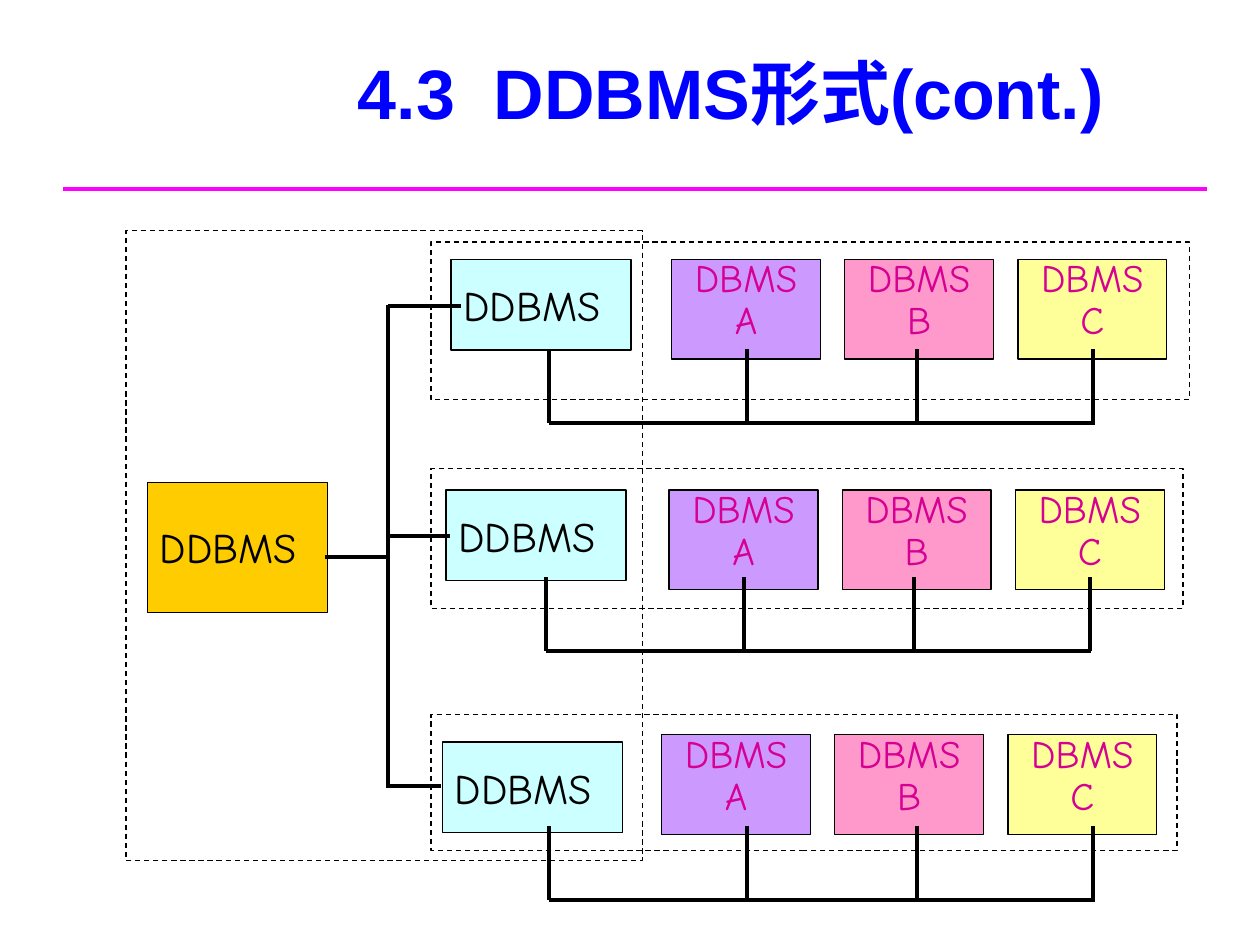
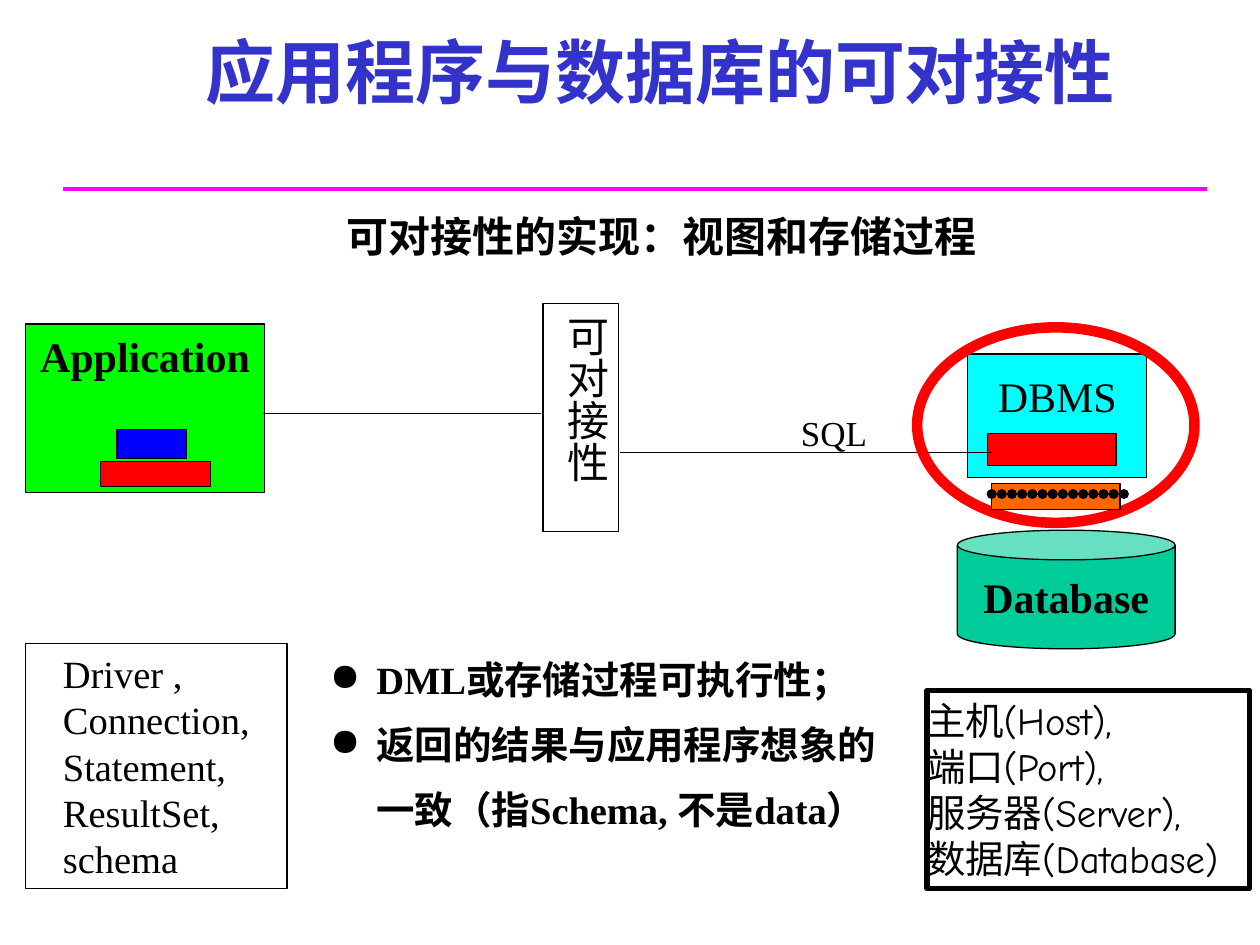
from dataclasses import dataclass, field
from typing import Optional

from lxml.etree import SubElement
from pptx import Presentation
from pptx.dml.color import RGBColor
from pptx.enum.dml import MSO_LINE_DASH_STYLE as Dash
from pptx.enum.shapes import MSO_CONNECTOR as Connector, MSO_SHAPE as Preset
from pptx.enum.text import MSO_ANCHOR as Anchor, MSO_AUTO_SIZE as AutoSize, PP_ALIGN as Align
from pptx.oxml.ns import qn
from pptx.util import Cm, Pt


@dataclass(frozen=True)
class Theme:
    black: str = "000000"
    rule: str = "FF00FF"
    title_blue: str = "0000FF"
    title_indigo: str = "3333CC"
    magenta: str = "D60093"
    amber: str = "FFCC00"
    pale_cyan: str = "CCFFFF"
    violet: str = "CC99FF"
    pink: str = "FF99CC"
    yellow: str = "FFFF99"
    cyan: str = "00FFFF"
    red: str = "FF0000"
    green: str = "00FF00"
    blue: str = "0000FF"
    orange: str = "FF6600"
    teal: str = "00CC99"
    sans: str = "Arial"
    chinese: str = "Noto Sans CJK SC"
    comic: str = "Comic Neue"
    serif: str = "Times New Roman"
    title_size: float = 40
    label_size: float = 24
    node_size: float = 22.2
    list_size: float = 22
    note_size: float = 20
    thin: float = 0.75
    rule_width: float = 2
    wire: float = 2.25
    frame: float = 3
    dots: float = 5.75
    ring: float = 6


THEME = Theme()


@dataclass(frozen=True)
class TextStyle:
    font: str
    size: float
    color: str = THEME.black
    bold: bool = False
    align: Align = Align.LEFT
    spacing: Optional[float] = None
    indent: float = 0
    hanging: float = 0
    bullet: str = ""


@dataclass(frozen=True)
class Box:
    """A shape or, without a preset, a text box; lengths in centimetres."""
    left: float
    top: float
    width: float
    height: float
    fill: Optional[str] = None
    preset: Optional[Preset] = Preset.RECTANGLE
    line: str = THEME.black
    weight: float = THEME.thin
    dash: Optional[Dash] = None
    lines: tuple[str, ...] = ()
    style: Optional[TextStyle] = None
    insets: tuple[float, float] = (0.25, 0.13)
    anchor: Anchor = Anchor.TOP
    wrap: bool = True
    vertical: bool = False


@dataclass(frozen=True)
class Wire:
    x1: float
    y1: float
    x2: float
    y2: float
    color: str = THEME.black
    weight: float = THEME.wire
    dotted: bool = False


@dataclass(frozen=True)
class Site:
    """One row of the federation: frame, local DDBMS, three DBMS, bus."""
    frame_top: float
    frame_width: float
    frame_height: float
    ddbms_left: float
    ddbms_top: float
    dbms_left: float
    dbms_top: float
    bus_left: float
    bus_y: float
    branch_y: float
    branch_end: float


def rgb(color: str) -> RGBColor:
    return RGBColor.from_string(color)


def write_paragraph(paragraph, text: str, style: TextStyle) -> None:
    properties = paragraph._p.get_or_add_pPr()
    properties.set("marL", str(Cm(style.indent)))
    properties.set("indent", str(Cm(-style.hanging)))
    if style.bullet:
        color = SubElement(properties, qn("a:buClr"))
        SubElement(color, qn("a:srgbClr"), val=style.color)
        SubElement(properties, qn("a:buChar"), char=style.bullet)
    paragraph.alignment = style.align
    if style.spacing:
        paragraph.line_spacing = style.spacing
    run = paragraph.add_run()
    run.text = text
    run.font.size = Pt(style.size)
    run.font.bold = style.bold
    run.font.color.rgb = rgb(style.color)
    run.font.name = style.font
    SubElement(run._r.get_or_add_rPr(), qn("a:ea"), typeface=THEME.chinese)


def write_text(shape, lines: tuple[str, ...], style: TextStyle, insets: tuple[float, float],
               anchor: Anchor, wrap: bool = True) -> None:
    frame = shape.text_frame
    frame.auto_size = AutoSize.NONE
    frame.word_wrap = wrap
    frame.vertical_anchor = anchor
    frame.margin_left = frame.margin_right = Cm(insets[0])
    frame.margin_top = frame.margin_bottom = Cm(insets[1])
    for index, text in enumerate(lines):
        paragraph = frame.add_paragraph() if index else frame.paragraphs[0]
        write_paragraph(paragraph, text, style)


def draw_box(slide, box: Box) -> None:
    place = [Cm(value) for value in (box.left, box.top, box.width, box.height)]
    if box.preset is None:
        shape = slide.shapes.add_textbox(*place)
    else:
        shape = slide.shapes.add_shape(box.preset, *place)
        shape.shadow.inherit = False
        if box.fill:
            shape.fill.solid()
            shape.fill.fore_color.rgb = rgb(box.fill)
        else:
            shape.fill.background()
        shape.line.color.rgb = rgb(box.line)
        shape.line.width = Pt(box.weight)
        if box.dash:
            shape.line.dash_style = box.dash
    if box.lines:
        write_text(shape, box.lines, box.style, box.insets, box.anchor, box.wrap)
    if box.vertical:
        shape.text_frame._txBody.bodyPr.set("vert", "eaVert")


def draw_wire(slide, wire: Wire) -> None:
    connector = slide.shapes.add_connector(
        Connector.STRAIGHT, Cm(wire.x1), Cm(wire.y1), Cm(wire.x2), Cm(wire.y2))
    connector.line.color.rgb = rgb(wire.color)
    connector.line.width = Pt(wire.weight)
    if wire.dotted:
        outline = connector.line._get_or_add_ln()
        outline.set("cap", "rnd")
        pattern = SubElement(outline, qn("a:custDash"))
        SubElement(pattern, qn("a:ds"), d="1000", sp="100000")
    SubElement(connector._element.spPr, qn("a:effectLst"))


def draw_all(slide, parts: list) -> None:
    for part in parts:
        if isinstance(part, Wire):
            draw_wire(slide, part)
        else:
            draw_box(slide, part)


def start_slide(presentation, title: str, place: tuple[float, ...], font: str, color: str):
    """Add a slide with its title and the rule below it."""
    slide = presentation.slides.add_slide(presentation.slide_layouts[5])
    shape = slide.shapes.title
    shape.left, shape.top, shape.width, shape.height = [Cm(value) for value in place]
    style = TextStyle(font, THEME.title_size, color, True, Align.CENTER)
    write_text(shape, (title,), style, (0.25, 0.13), Anchor.MIDDLE)
    draw_wire(slide, Wire(1.27, 3.81, 24.33, 3.81, THEME.rule, THEME.rule_width))
    return slide


# Federation slide
DDBMS_STYLE = TextStyle(THEME.comic, THEME.label_size)
DBMS_STYLE = TextStyle(THEME.comic, THEME.node_size, THEME.magenta, align=Align.CENTER, spacing=0.9)
DBMS_NODES = (("A", THEME.violet), ("B", THEME.pink), ("C", THEME.yellow))
DBMS_STEP = 3.49
BUS_LENGTH, DROP_HEIGHT = 11, 1.49
DROP_OFFSETS = (0, 3.99, 7.42, 10.97)
TRUNK_X = 7.82
SITES = (
    Site(4.88, 15.29, 3.18, 9.09, 5.23, 13.54, 5.23, 11.07, 8.53, 6.17, 9.3),
    Site(9.45, 15.16, 2.82, 8.99, 9.88, 13.49, 9.88, 11, 13.13, 10.8, 9.07),
    Site(14.4, 15.04, 2.74, 8.92, 14.96, 13.34, 14.81, 11.07, 18.14, 15.85, 8.89),
)


def site_boxes(site: Site) -> list[Box]:
    boxes = [
        Box(8.69, site.frame_top, site.frame_width, site.frame_height, dash=Dash.DASH),
        Box(site.ddbms_left, site.ddbms_top, 3.63, 1.83, THEME.pale_cyan,
            lines=("DDBMS",), style=DDBMS_STYLE, insets=(0.25, 0.41)),
    ]
    for index, (name, color) in enumerate(DBMS_NODES):
        boxes.append(Box(site.dbms_left + index * DBMS_STEP, site.dbms_top, 3, 2.01, color,
                         lines=("DBMS", name), style=DBMS_STYLE, insets=(0, 0)))
    return boxes


def site_wires(site: Site) -> list[Wire]:
    bus = Wire(site.bus_left, site.bus_y, site.bus_left + BUS_LENGTH, site.bus_y)
    drops = [Wire(site.bus_left + offset, site.bus_y - DROP_HEIGHT, site.bus_left + offset, site.bus_y)
             for offset in DROP_OFFSETS]
    branch = Wire(TRUNK_X, site.branch_y, site.branch_end, site.branch_y)
    return [bus, *drops, branch]


def build_federation(presentation) -> None:
    slide = start_slide(presentation, "4.3  DDBMS形式(cont.)", (6.93, 0.58, 15.6, 2.54),
                        THEME.sans, THEME.title_blue)
    for site in SITES:
        draw_all(slide, site_boxes(site))
    draw_all(slide, [
        Box(2.97, 9.73, 3.63, 2.62, THEME.amber, lines=("DDBMS",), style=DDBMS_STYLE,
            insets=(0.25, 0.79)),
        Box(2.54, 4.65, 10.41, 12.7, dash=Dash.DASH),
    ])
    for site in SITES:
        draw_all(slide, site_wires(site))
    draw_all(slide, [Wire(TRUNK_X, 6.15, TRUNK_X, 15.88), Wire(6.55, 11.23, TRUNK_X, 11.23)])


# Connectivity slide
def build_connectivity(presentation) -> None:
    slide = start_slide(presentation, "应用程序与数据库的可对接性", (1.7, 0, 23.22, 2.84),
                        THEME.chinese, THEME.title_indigo)
    label = TextStyle(THEME.serif, THEME.label_size, align=Align.CENTER)
    strong = TextStyle(THEME.serif, THEME.label_size, bold=True, align=Align.CENTER)
    note = TextStyle(THEME.serif, THEME.note_size, align=Align.CENTER, spacing=1.3)
    host = TextStyle(THEME.comic, THEME.list_size)
    driver = TextStyle(THEME.serif, THEME.list_size, indent=0.51)
    points = TextStyle(THEME.serif, THEME.list_size, bold=True, spacing=1.4,
                       indent=1.65, hanging=0.94, bullet="●")
    draw_all(slide, [
        # Database server and application
        Box(19.51, 7.14, 3.61, 2.49, THEME.cyan, lines=("DBMS",), style=label, insets=(0.25, 0.33)),
        Box(19.91, 8.74, 2.59, 0.64, THEME.red),
        Box(0.51, 6.53, 4.83, 3.4, THEME.green, lines=("Application",), style=strong),
        Box(2.03, 9.3, 2.21, 0.51, THEME.red),
        Box(2.36, 8.66, 1.4, 0.58, THEME.blue),
        # SQL link and highlighted interface
        Wire(12.5, 9.12, 19.99, 9.12, weight=THEME.thin),
        Box(15.9, 7.92, 1.83, 1.37, preset=None, lines=("SQL",), style=note, wrap=False),
        Box(18.49, 6.6, 5.59, 3.94, preset=Preset.OVAL, line=THEME.red, weight=THEME.ring),
        Box(19.99, 9.75, 2.59, 0.53, THEME.orange),
        Wire(19.99, 9.96, 22.73, 9.96, weight=THEME.dots, dotted=True),
        # Host list, database and driver list
        Box(18.69, 13.92, 6.5, 3.99, weight=THEME.frame, style=host, insets=(0, 0.13),
            lines=("主机(Host),", "端口(Port),", "服务器(Server),", "数据库(Database)")),
        Box(19.3, 10.69, 4.39, 2.39, THEME.teal, Preset.CAN, lines=("Database",), style=strong,
            anchor=Anchor.MIDDLE, wrap=False),
        Box(0.51, 12.98, 5.28, 4.93, style=driver,
            lines=("Driver ,", "Connection,", "Statement,", "ResultSet,", "schema")),
        # Connectivity layer and its requirements
        Box(10.95, 6.12, 1.52, 4.6, lines=("可对接性",), style=label, insets=(0.13, 0.25),
            vertical=True),
        Box(5.69, 12.73, 12.8, 5.46, preset=None, style=points,
            lines=("DML或存储过程可执行性；",
                   "返回的结果与应用程序想象的一致（指Schema, 不是data）")),
        Wire(5.31, 8.33, 10.9, 8.33, weight=THEME.thin),
        Box(6.73, 4.11, 13.21, 1.27, preset=None, lines=("可对接性的实现：视图和存储过程",),
            style=strong, wrap=False),
    ])


def main() -> None:
    presentation = Presentation()
    presentation.slide_width, presentation.slide_height = Cm(25.4), Cm(19.05)
    build_federation(presentation)
    build_connectivity(presentation)
    presentation.save("out.pptx")


if __name__ == "__main__":
    main()
